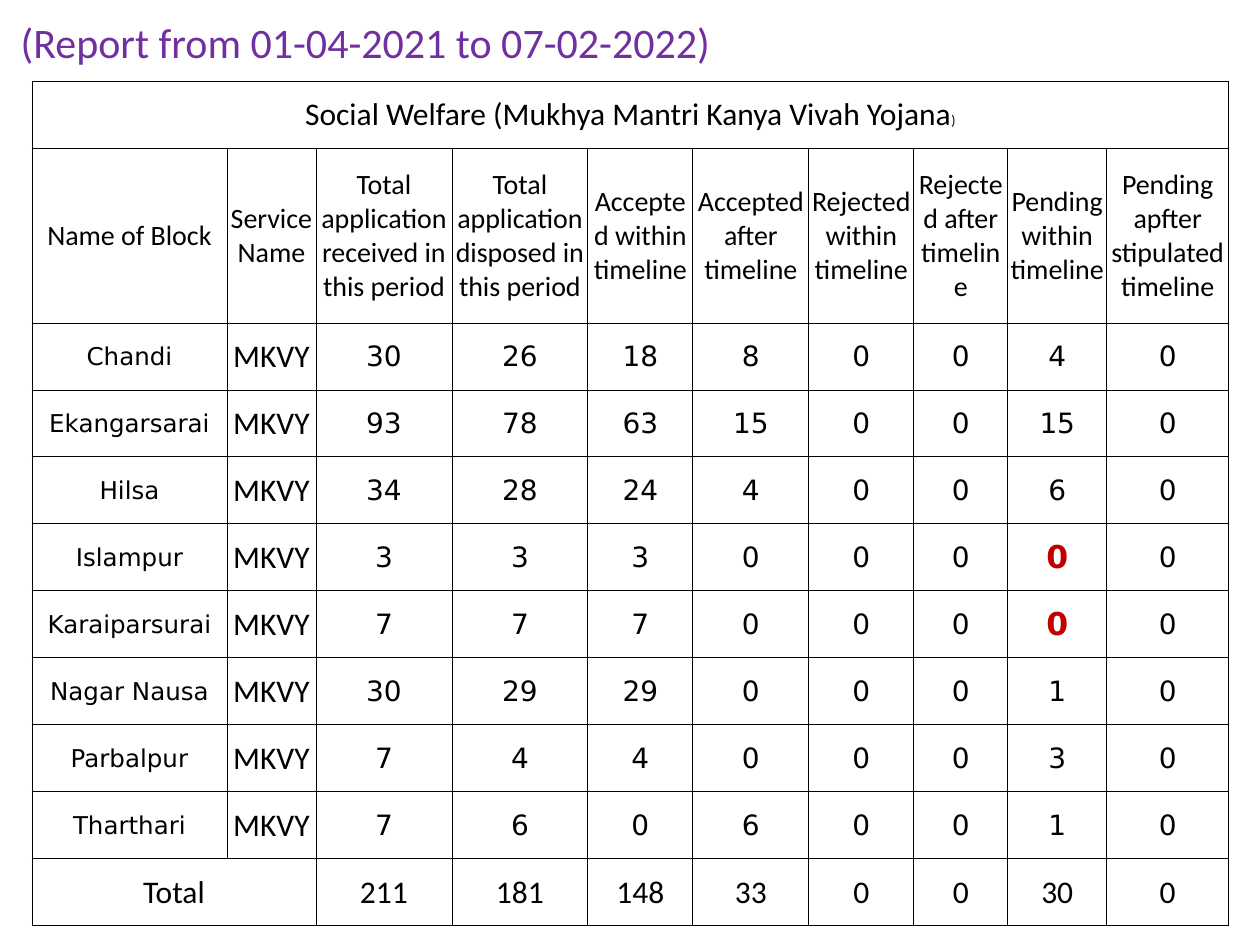
"""Build the block-wise application report slide."""
from lxml.etree import SubElement
from pptx import Presentation
from pptx.dml.color import RGBColor
from pptx.enum.text import MSO_ANCHOR as Anchor, MSO_AUTO_SIZE as AutoSize, PP_ALIGN as Align
from pptx.oxml.ns import qn
from pptx.util import Emu, Pt

TITLE = "(Report from 01-04-2021 to 07-02-2022)"
SCHEME = ("Social Welfare (Mukhya Mantri Kanya Vivah Yojana", ")")
SERVICE = "MKVY"
HEADERS = [
    "Name of Block", "Service Name",
    "Total application received in this period",
    "Total application disposed in this period",
    "Accepted within timeline", "Accepted after timeline",
    "Rejected within timeline", "Rejected after timeline",
    "Pending within timeline", "Pending apfter stipulated timeline",
]
BLOCKS = [
    ("Chandi", 30, 26, 18, 8, 0, 0, 4, 0),
    ("Ekangarsarai", 93, 78, 63, 15, 0, 0, 15, 0),
    ("Hilsa", 34, 28, 24, 4, 0, 0, 6, 0),
    ("Islampur", 3, 3, 3, 0, 0, 0, 0, 0),
    ("Karaiparsurai", 7, 7, 7, 0, 0, 0, 0, 0),
    ("Nagar Nausa", 30, 29, 29, 0, 0, 0, 1, 0),
    ("Parbalpur", 7, 4, 4, 0, 0, 0, 3, 0),
    ("Tharthari", 7, 6, 0, 6, 0, 0, 1, 0),
]
TOTALS = (211, 181, 148, 33, 0, 0, 30, 0)

BLACK = RGBColor(0x00, 0x00, 0x00)
WHITE = RGBColor(0xFF, 0xFF, 0xFF)
PURPLE = RGBColor(0x70, 0x30, 0xA0)
RED = RGBColor(0xC0, 0x00, 0x00)

SLIDE_SIZE = (1260, 945)
TITLE_BOX = (8, 10, 720, 63)
TABLE_ORIGIN = (32, 81)
COLUMN_WIDTHS = [195, 89, 136, 136, 105, 116, 105, 94, 99, 122]
ROW_HEIGHTS = [67, 175] + [67] * (len(BLOCKS) + 1)
PENDING_COLUMN = 8

TITLE_FORMAT = dict(name="Calibri", size=Pt(24), color=PURPLE)
LARGE = dict(name="Calibri", size=Pt(18), color=BLACK, bold=False)
SMALL = LARGE | dict(size=Pt(8))
HEADER = LARGE | dict(size=Pt(16))
BLOCK_NAME = LARGE | dict(name="DejaVu Sans", size=Pt(14))
NUMBER = BLOCK_NAME | dict(size=Pt(16))
ALERT = NUMBER | dict(size=Pt(18), color=RED, bold=True)
CELL_FORMAT = dict(vertical_anchor=Anchor.MIDDLE, margin_left=Emu(9144),
                   margin_right=Emu(9144), margin_top=Emu(9144), margin_bottom=0)


def px(value):
    return Emu(round(value * 914400 / 126))


def add_run(paragraph, text, font_format):
    run = paragraph.add_run()
    run.text = str(text)
    for name, value in font_format.items():
        if name == "color":
            run.font.color.rgb = value
        else:
            setattr(run.font, name, value)


def style_cell(cell):
    for name, value in CELL_FORMAT.items():
        setattr(cell, name, value)
    properties = cell._tc.get_or_add_tcPr()
    for side in ("a:lnL", "a:lnR", "a:lnT", "a:lnB"):
        line = SubElement(properties, qn(side), w=str(Pt(0.5)))
        fill = SubElement(line, qn("a:solidFill"))
        SubElement(fill, qn("a:srgbClr"), val=str(BLACK))
    cell.fill.solid()
    cell.fill.fore_color.rgb = WHITE


def write_cell(cell, *runs):
    paragraph = cell.text_frame.paragraphs[0]
    paragraph.alignment = Align.CENTER
    for text, font_format in runs:
        add_run(paragraph, text, font_format)


def add_title(slide):
    title = slide.shapes.title
    title.left, title.top, title.width, title.height = map(px, TITLE_BOX)
    frame = title.text_frame
    frame.word_wrap = False
    frame.auto_size = AutoSize.SHAPE_TO_FIT_TEXT
    frame.vertical_anchor = Anchor.TOP
    paragraph = frame.paragraphs[0]
    paragraph.alignment = Align.LEFT
    add_run(paragraph, TITLE, TITLE_FORMAT)


def add_report_table(slide):
    size = (sum(COLUMN_WIDTHS), sum(ROW_HEIGHTS))
    table = slide.shapes.add_table(len(ROW_HEIGHTS), len(COLUMN_WIDTHS),
                                   *map(px, TABLE_ORIGIN + size)).table
    table.first_row = table.horz_banding = False
    for column, width in zip(table.columns, COLUMN_WIDTHS):
        column.width = px(width)
    for row, height in zip(table.rows, ROW_HEIGHTS):
        row.height = px(height)
    for cell in table.iter_cells():
        style_cell(cell)

    last_row, last_column = len(ROW_HEIGHTS) - 1, len(COLUMN_WIDTHS) - 1
    table.cell(0, 0).merge(table.cell(0, last_column))
    table.cell(last_row, 0).merge(table.cell(last_row, 1))

    write_cell(table.cell(0, 0), (SCHEME[0], LARGE), (SCHEME[1], SMALL))
    for column, header in enumerate(HEADERS):
        write_cell(table.cell(1, column), (header, HEADER))
    for row, (block, *numbers) in enumerate(BLOCKS, start=2):
        write_cell(table.cell(row, 0), (block, BLOCK_NAME))
        write_cell(table.cell(row, 1), (SERVICE, LARGE))
        for column, number in enumerate(numbers, start=2):
            cleared = column == PENDING_COLUMN and number == 0
            write_cell(table.cell(row, column), (number, ALERT if cleared else NUMBER))
    write_cell(table.cell(last_row, 0), ("Total", LARGE))
    for column, total in enumerate(TOTALS, start=2):
        write_cell(table.cell(last_row, column), (total, LARGE))


def main():
    presentation = Presentation()
    presentation.slide_width, presentation.slide_height = map(px, SLIDE_SIZE)
    slide = presentation.slides.add_slide(presentation.slide_layouts[5])
    add_report_table(slide)
    add_title(slide)
    presentation.save("out.pptx")


if __name__ == "__main__":
    main()
